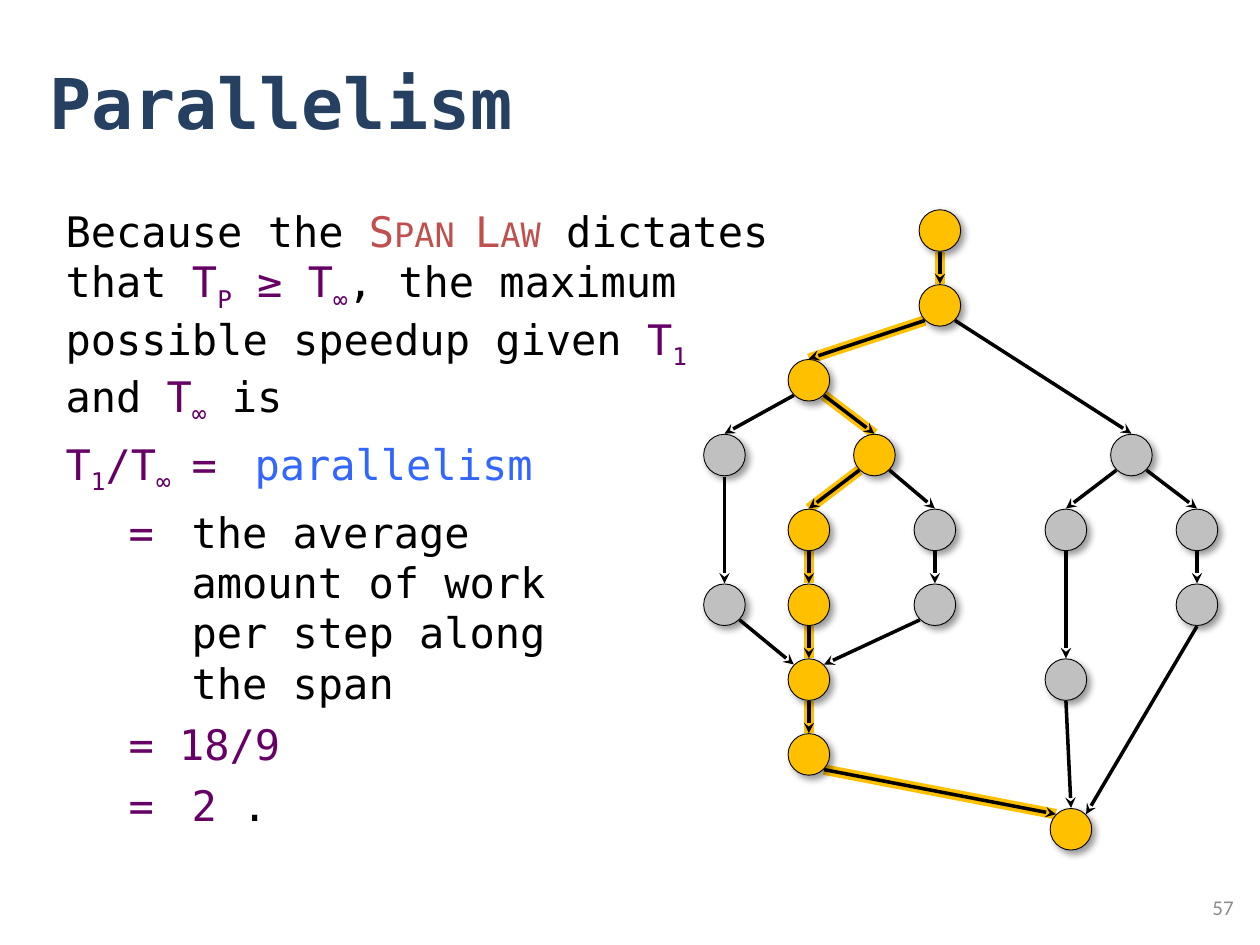
"""Build the Parallelism slide with its task graph and highlighted span."""
import pptx
import pptx.util
import pptx.dml.color
import pptx.enum.shapes
import pptx.enum.text
import pptx.oxml
import pptx.oxml.ns
from lxml import etree

Inches, Pt = pptx.util.Inches, pptx.util.Pt
MONO = "DejaVu Sans Mono"
BLACK, PURPLE, RED, BLUE = "000000", "660066", "C0504D", "3366FF"
GOLD, GRAY = "FFC000", "C0C0C0"


def color(hex_string):
    return pptx.dml.color.RGBColor.from_string(hex_string)


def add_xml(parent, tag, **attributes):
    return etree.SubElement(parent, pptx.oxml.ns.qn(tag), attributes)


presentation = pptx.Presentation()
presentation.slide_width, presentation.slide_height = Inches(10), Inches(7.5)
slide = presentation.slides.add_slide(presentation.slide_layouts[1])

title = slide.shapes.title
title.left, title.top, title.width, title.height = Inches(0.29), Inches(0.18), Inches(9), Inches(1.25)
title.text_frame.text = "Parallelism"
title.text_frame.vertical_anchor = pptx.enum.text.MSO_ANCHOR.MIDDLE
title_paragraph = title.text_frame.paragraphs[0]
title_paragraph.alignment = pptx.enum.text.PP_ALIGN.LEFT
title_font = title_paragraph.runs[0].font
title_font.name, title_font.size, title_font.bold = MONO, Pt(40), True
title_font.color.rgb = color("254061")

body = slide.placeholders[1]
body.left, body.top, body.width, body.height = Inches(0.42), Inches(1.58), Inches(5.93), Inches(4.48)
body.text_frame.word_wrap = True
body.text_frame.auto_size = pptx.enum.text.MSO_AUTO_SIZE.NONE

subscript, small_caps = {"baseline": "-25000"}, {"cap": "small"}
paragraphs = [
    [("Because the ", BLACK, {}), ("Span Law", RED, small_caps), (" dictates that ", BLACK, {}),
     ("T", PURPLE, {}), ("P", PURPLE, subscript), (" ≥ T", PURPLE, {}), ("∞", PURPLE, subscript),
     (", the maximum possible speedup given ", BLACK, {}), ("T", PURPLE, {}), ("1", PURPLE, subscript),
     (" and ", BLACK, {}), ("T", PURPLE, {}), ("∞", PURPLE, subscript), (" is", BLACK, {})],
    [("T", PURPLE, {}), ("1", PURPLE, subscript), ("/T", PURPLE, {}), ("∞\t", PURPLE, subscript),
     ("=\t", PURPLE, {}), ("parallelism", BLUE, {})],
    [("\t=\t", PURPLE, {}),
     ("the average\n\t\tamount of work\n\t\tper step along\n\t\tthe span", BLACK, {})],
    [("\t= 18/9", PURPLE, {})],
    [("\t=\t2", PURPLE, {}), (" .", BLACK, {})],
]
for index, pieces in enumerate(paragraphs):
    paragraph = body.text_frame.add_paragraph() if index else body.text_frame.paragraphs[0]
    properties = paragraph._p.get_or_add_pPr()
    properties.set("marL", "0")
    properties.set("indent", "0")
    add_xml(properties, "a:buNone")
    tabs = add_xml(properties, "a:tabLst")
    for stop in (0.5, 1, 1.5):
        add_xml(tabs, "a:tab", pos=str(Inches(stop)), algn="l")
    paragraph.space_before = Pt(6 if index else 0)
    for text, hex_string, effects in pieces:
        for line_number, line in enumerate(text.split("\n")):
            if line_number:
                paragraph.add_line_break()
                add_xml(paragraph._p[-1], "a:rPr", sz="2400")
            run = paragraph.add_run()
            run.text = line
            run.font.name, run.font.size = MONO, Pt(24)
            run.font.color.rgb = color(hex_string)
            for name, value in effects.items():
                run._r.get_or_add_rPr().set(name, value)

DIAMETER, FIRST_ROW, ROW_STEP = 0.33, 1.83, 0.594
span = {
    "start": (7.46, 0), "fork": (7.46, 1), "left": (6.42, 2), "inner": (6.94, 3),
    "work 1": (6.42, 4), "work 2": (6.42, 5), "join": (6.42, 6), "after": (6.42, 7), "end": (8.5, 8),
}
others = {
    "outer 1": (5.75, 3), "outer 2": (5.75, 5), "side 1": (7.42, 4), "side 2": (7.42, 5),
    "right": (8.98, 3), "long 1": (8.46, 4), "long 2": (8.46, 6), "far 1": (9.5, 4), "far 2": (9.5, 5),
}
nodes = {name: (x, FIRST_ROW + row * ROW_STEP) for name, (x, row) in {**others, **span}.items()}
rim = {"N": (0, -0.17), "S": (0, 0.17), "NW": (-0.12, -0.12), "NE": (0.12, -0.12),
       "SW": (-0.12, 0.12), "SE": (0.12, 0.12)}
edges = [
    ("start", "S", "fork", "N"), ("fork", "SW", "left", "N"), ("left", "SE", "inner", "N"),
    ("inner", "SW", "work 1", "N"), ("work 1", "S", "work 2", "N"), ("work 2", "S", "join", "N"),
    ("join", "S", "after", "N"), ("after", "SE", "end", "NW"), ("fork", "SE", "right", "N"),
    ("left", "SW", "outer 1", "N"), ("outer 1", "S", "outer 2", "N"), ("inner", "SE", "side 1", "N"),
    ("outer 2", "SE", "join", "NW"), ("right", "SE", "far 1", "N"), ("side 2", "SW", "join", "NE"),
    ("side 1", "S", "side 2", "N"), ("right", "SW", "long 1", "N"), ("long 1", "S", "long 2", "N"),
    ("far 1", "S", "far 2", "N"), ("far 2", "S", "end", "NE"), ("long 2", "S", "end", "N"),
]
span_edges = [edge for edge in edges if edge[0] in span and edge[2] in span]
for group, hex_string, width in ((span_edges, GOLD, 6), (edges, BLACK, 2)):
    for source, source_side, target, target_side in group:
        ends = [Inches(center + offset)
                for node, side in ((source, source_side), (target, target_side))
                for center, offset in zip(nodes[node], rim[side])]
        connector = slide.shapes.add_connector(pptx.enum.shapes.MSO_CONNECTOR.STRAIGHT, *ends)
        connector.line.color.rgb = color(hex_string)
        connector.line.width = Pt(width)
        if group is edges:
            add_xml(connector.line._get_or_add_ln(), "a:tailEnd", type="stealth")
        add_xml(connector._element.spPr, "a:effectLst")

for name, (x, y) in nodes.items():
    circle = slide.shapes.add_shape(
        pptx.enum.shapes.MSO_SHAPE.OVAL, Inches(x - DIAMETER / 2), Inches(y - DIAMETER / 2),
        Inches(DIAMETER), Inches(DIAMETER))
    circle.fill.solid()
    circle.fill.fore_color.rgb = color(GOLD if name in span else GRAY)
    circle.line.color.rgb = color(BLACK)
    circle.line.width = Pt(0.5)
    circle.shadow.inherit = False
    effects = circle._element.spPr.find(pptx.oxml.ns.qn("a:effectLst"))
    shadow = add_xml(effects, "a:outerShdw", blurRad=str(Pt(4)), dist=str(Pt(3)), dir="2700000")
    add_xml(add_xml(shadow, "a:srgbClr", val=BLACK), "a:alpha", val="40000")

number = slide.shapes.add_textbox(Inches(9.21), Inches(7), Inches(0.68), Inches(0.4))
number.text_frame.word_wrap = True
number.text_frame.vertical_anchor = pptx.enum.text.MSO_ANCHOR.MIDDLE
number.text_frame.text = "57"
number_paragraph = number.text_frame.paragraphs[0]
number_paragraph.alignment = pptx.enum.text.PP_ALIGN.RIGHT
number_font = number_paragraph.runs[0].font
number_font.name, number_font.size = "Calibri", Pt(12)
number_font.color.rgb = color("8C8C8C")

presentation.save("out.pptx")
